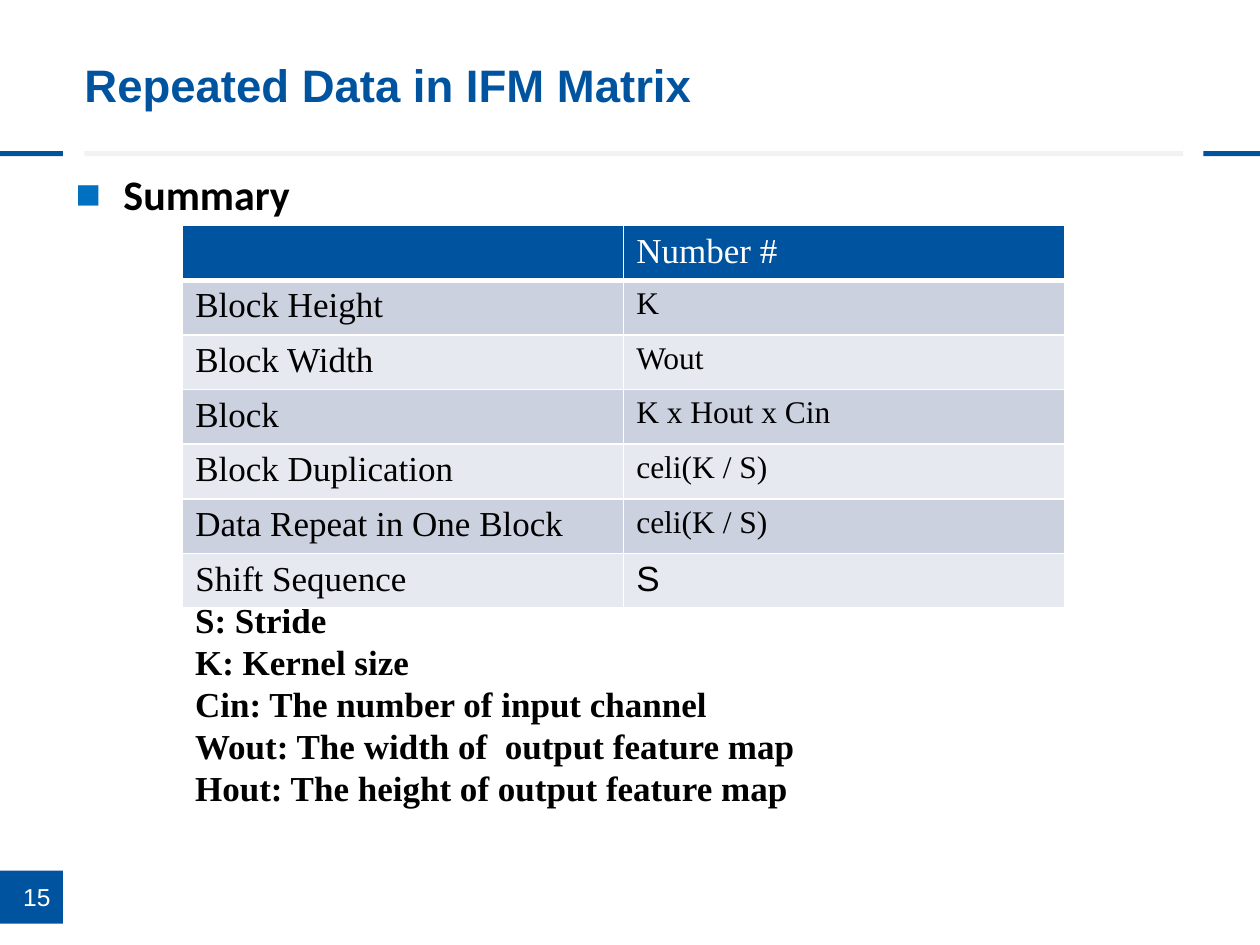
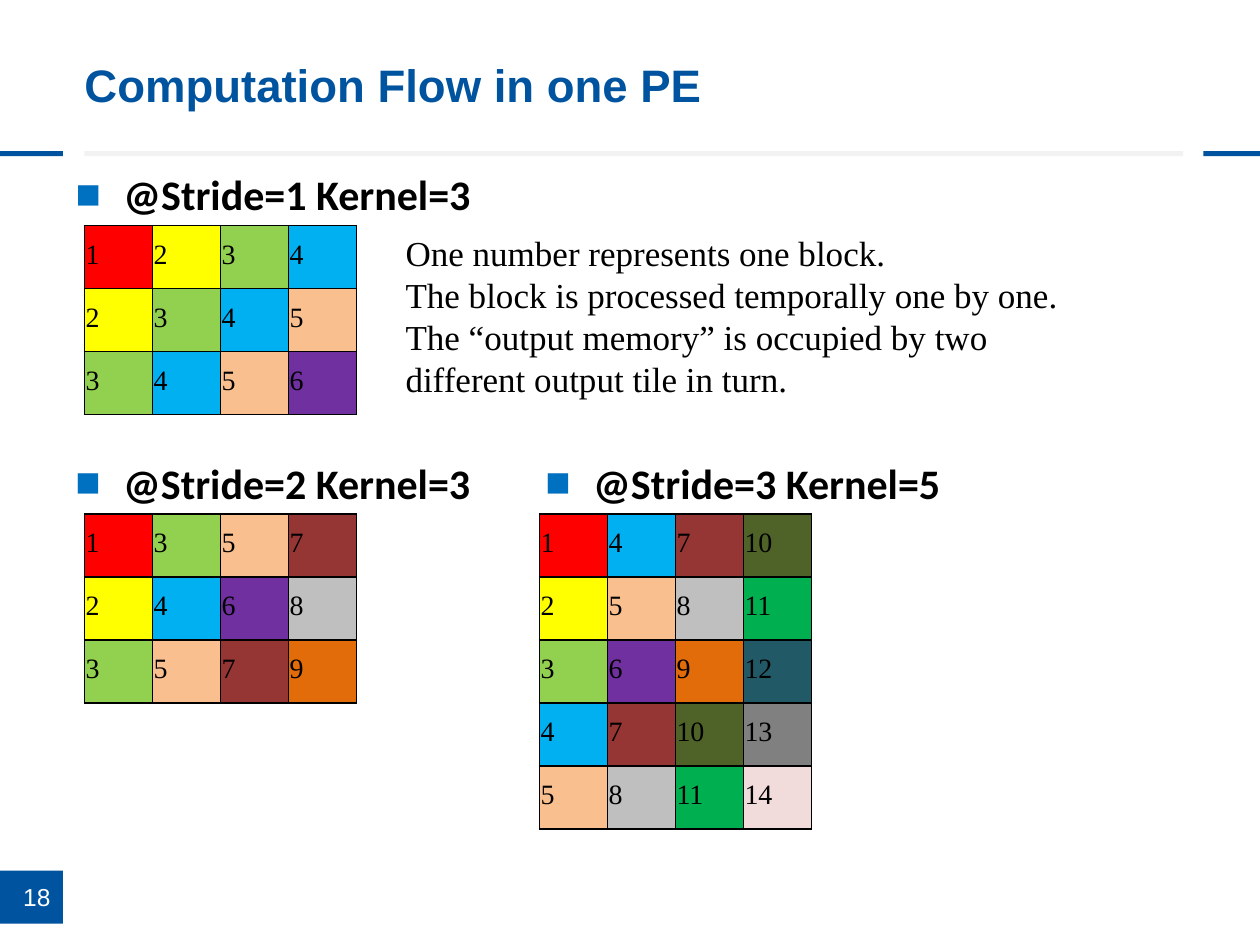
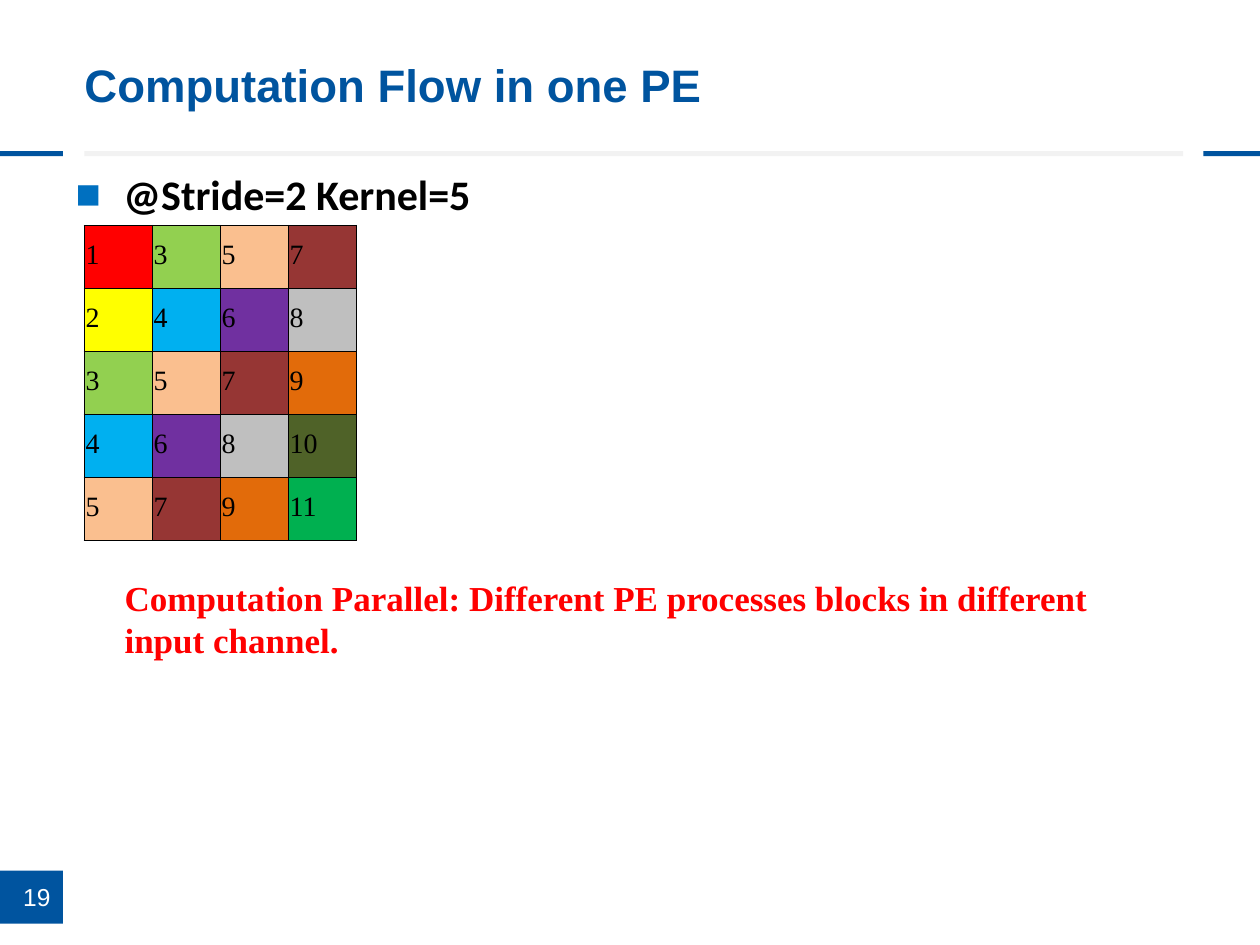
"""Builds three slides on data reuse and computation flow in a PE."""
from lxml.etree import SubElement
from pptx import Presentation
from pptx.dml.color import RGBColor
from pptx.enum.shapes import MSO_SHAPE
from pptx.enum.text import MSO_ANCHOR, MSO_AUTO_SIZE, PP_ALIGN
from pptx.oxml import parse_xml
from pptx.oxml.ns import nsdecls, qn
from pptx.util import Inches, Pt

BLUE = RGBColor(0x00, 0x54, 0x9F)
BULLET = RGBColor(0x00, 0x70, 0xC0)
PALE = RGBColor(0xF2, 0xF2, 0xF2)
ODD = RGBColor(0xCC, 0xD1, 0xDF)
EVEN = RGBColor(0xE7, 0xE9, 0xF0)
WHITE = RGBColor(0xFF, 0xFF, 0xFF)
BLACK = RGBColor(0x00, 0x00, 0x00)
RED = RGBColor(0xFF, 0x00, 0x00)
TINTS = [RGBColor.from_string(code) for code in (
    "FF0000", "FFFF00", "92D050", "00B0F0", "FABF8F", "7030A0", "963634",
    "BFBFBF", "E26B0A", "4F6228", "00B050", "215967", "808080", "F2DCDB")]
SANS, HEAD, SERIF = "Arial", "Calibri", "Times New Roman"

WIDE, HIGH = 10, 7.5
LEFT, SPAN = 0.67, 8.72
EDGE = 0.5
TOP = 1.79
LOW = 4.08
HEAD_H = 0.66
ROW = 0.43
CELL_W, CELL_H, COLS = 0.54, 0.5, 4
BANDS = [(0, EDGE, BLUE), (9.55, 0.45, BLUE), (LEFT, SPAN, PALE)]

SUMMARY = [
    ("", "Number #"),
    ("Block Height", "K"),
    ("Block Width", "Wout"),
    ("Block", "K x Hout x Cin"),
    ("Block Duplication", "celi(K / S)"),
    ("Data Repeat in One Block", "celi(K / S)"),
    ("Shift Sequence", "S"),
]
TERMS = [
    "S: Stride",
    "K: Kernel size",
    "Cin: The number of input channel",
    "Wout: The width of  output feature map",
    "Hout: The height of output feature map",
]
NOTES = [
    "One number represents one block.",
    "The block is processed temporally one by one.",
    "The “output memory” is occupied by two different output tile in turn.",
]
CLAIM = ["Computation Parallel: Different PE processes blocks in different "
         "input channel."]
FLOW = "Computation Flow in one PE"
PAGES = [
    {"title": "Repeated Data in IFM Matrix", "page": "15",
     "heads": [("Summary", EDGE, TOP, 8.9)],
     "notes": (TERMS, 1.45, 4.7, 7, 1.78, BLACK, True)},
    {"title": FLOW, "page": "18",
     "heads": [("@Stride=1 Kernel=3", EDGE, TOP, 8.9),
               ("@Stride=2 Kernel=3", EDGE, LOW, 8.9),
               ("@Stride=3 Kernel=5", 4.23, LOW, 4.99)],
     "grids": [(1, 3, LEFT, TOP), (2, 3, LEFT, LOW), (3, 5, 4.28, LOW)],
     "notes": (NOTES, 3.12, TOP, 5.45, 1.78, BLACK, False)},
    {"title": FLOW, "page": "19",
     "heads": [("@Stride=2 Kernel=5", EDGE, TOP, 8.9)],
     "grids": [(2, 5, LEFT, TOP)],
     "notes": (CLAIM, 0.89, 4.53, 8.11, 0.77, RED, True)},
]


def box(*sizes):
    return [Inches(size) for size in sizes]


def place(shape, *sizes):
    shape.left, shape.top, shape.width, shape.height = box(*sizes)


def write(para, text, size, font, color, bold=False):
    run = para.add_run()
    run.text = text
    run.font.size, run.font.name, run.font.bold = Pt(size), font, bold
    run.font.color.rgb = color


def inset(part, left, top, right, low):
    part.margin_left, part.margin_top = Inches(left), Inches(top)
    part.margin_right, part.margin_bottom = Inches(right), Inches(low)


def add_rect(slide, left, top, width, height, color):
    rect = slide.shapes.add_shape(
        MSO_SHAPE.RECTANGLE, *box(left, top, width, height))
    rect.shadow.inherit = False
    rect.fill.solid()
    rect.fill.fore_color.rgb = color
    rect.line.fill.background()
    return rect


def add_frame(slide, title, page):
    for left, width, color in BANDS:
        add_rect(slide, left, 1.2, width, 0.04, color)
    head = slide.shapes.title
    place(head, LEFT, 0.21, SPAN, 0.92)
    frame = head.text_frame
    frame.vertical_anchor = MSO_ANCHOR.MIDDLE
    frame.auto_size = MSO_AUTO_SIZE.NONE
    inset(frame, 0, 0, 0, 0)
    para = frame.paragraphs[0]
    para.alignment = PP_ALIGN.LEFT
    write(para, title, 26, SANS, BLUE, True)
    frame = add_rect(slide, 0, 6.91, EDGE, 0.42, BLUE).text_frame
    frame.word_wrap = False
    frame.vertical_anchor = MSO_ANCHOR.MIDDLE
    para = frame.paragraphs[0]
    para.alignment = PP_ALIGN.RIGHT
    write(para, page, 14, SANS, WHITE)


def add_head(shape, text, left, base, width):
    place(shape, left, base - HEAD_H, width, HEAD_H)
    frame = shape.text_frame
    frame.word_wrap = True
    frame.auto_size = MSO_AUTO_SIZE.NONE
    para = frame.paragraphs[0]
    para.line_spacing, para.space_before = 1.4, Pt(0)
    write(para, text, 24, HEAD, BLACK, True)
    props = para._p.get_or_add_pPr()
    props.set("marL", str(Inches(0.38)))
    props.set("indent", str(-Inches(0.38)))
    tint = SubElement(props, qn("a:buClr"))
    SubElement(tint, qn("a:srgbClr"), val=str(BULLET))
    SubElement(props, qn("a:buFont"), typeface=SANS)
    SubElement(props, qn("a:buChar"), char="■")


def add_notes(slide, lines, left, top, width, height, color, bold):
    frame = slide.shapes.add_textbox(
        *box(left, top, width, height)).text_frame
    frame.word_wrap = True
    frame.auto_size = MSO_AUTO_SIZE.SHAPE_TO_FIT_TEXT
    for num, line in enumerate(lines):
        para = frame.add_paragraph() if num else frame.paragraphs[0]
        write(para, line, 20, SERIF, color, bold)


def style(cell, fill, edge, heavy=""):
    cell.fill.solid()
    cell.fill.fore_color.rgb = fill
    props = cell._tc.get_or_add_tcPr()
    for spot, side in enumerate("LRTB"):
        width = Pt(3 if side == heavy else 1)
        props.insert(spot, parse_xml(
            f'<a:ln{side} {nsdecls("a")} w="{width}"><a:solidFill>'
            f'<a:srgbClr val="{edge}"/></a:solidFill></a:ln{side}>'))


def add_table(slide, rows, cols, left, top, wide, high):
    table = slide.shapes.add_table(
        rows, cols, *box(left, top, cols * wide, rows * high)).table
    table.first_row = table.horz_banding = False
    for col in table.columns:
        col.width = Inches(wide)
    for row in table.rows:
        row.height = Inches(high)
    return table


def add_summary(slide):
    table = add_table(slide, len(SUMMARY), 2, 1.45, TOP, 3.5, ROW)
    last = len(SUMMARY) - 1
    for row, texts in enumerate(SUMMARY):
        fill = (ODD if row % 2 else EVEN) if row else BLUE
        heavy = {0: "B", 1: "T"}.get(row, "")
        for col, text in enumerate(texts):
            cell = table.cell(row, col)
            style(cell, fill, WHITE, heavy)
            size = 18 if col and 0 < row < last else 20
            font = SANS if col and row == last else SERIF
            if text:
                write(cell.text_frame.paragraphs[0], text, size, font,
                      BLACK if row else WHITE)


def add_grid(slide, stride, kernel, left, top):
    table = add_table(slide, kernel, COLS, left, top, CELL_W, CELL_H)
    for row in range(kernel):
        for col in range(COLS):
            block = row + stride * col
            cell = table.cell(row, col)
            style(cell, TINTS[block], BLACK)
            inset(cell, 0.01, 0.01, 0.01, 0.05)
            cell.vertical_anchor = MSO_ANCHOR.MIDDLE
            write(cell.text_frame.paragraphs[0], str(block + 1), 16, SERIF,
                  BLACK)


def main():
    deck = Presentation()
    deck.slide_width, deck.slide_height = box(WIDE, HIGH)
    for page in PAGES:
        slide = deck.slides.add_slide(deck.slide_layouts[1])
        add_frame(slide, page["title"], page["page"])
        for num, head in enumerate(page["heads"]):
            shape = (slide.shapes.add_textbox(0, 0, 0, 0) if num
                     else slide.placeholders[1])
            add_head(shape, *head)
        for grid in page.get("grids", []):
            add_grid(slide, *grid)
        add_notes(slide, *page["notes"])
    add_summary(deck.slides[0])
    deck.save("out.pptx")


if __name__ == "__main__":
    main()
